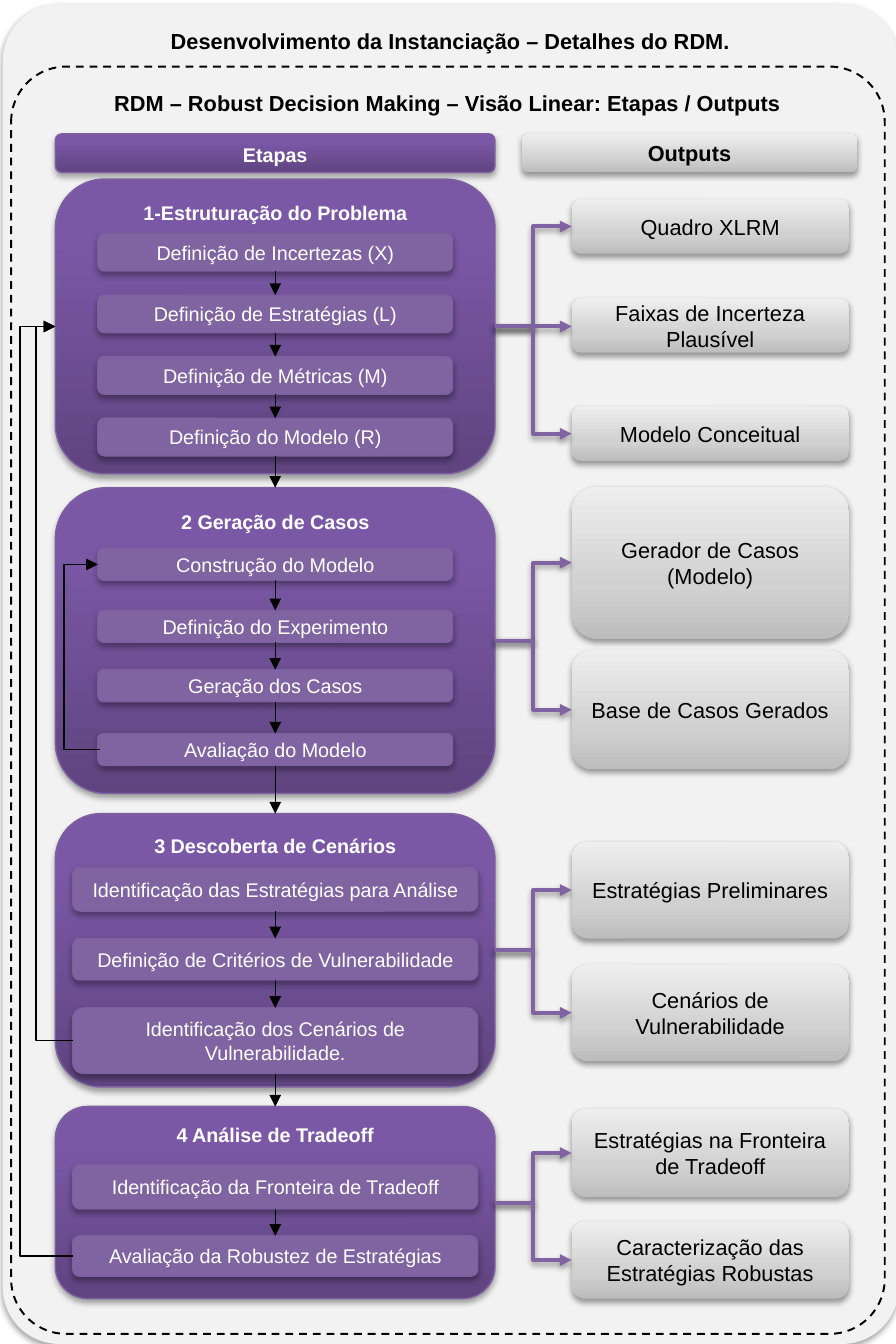
from copy import deepcopy

from lxml.etree import SubElement
from pptx import Presentation
from pptx.dml.color import RGBColor
from pptx.enum.dml import MSO_LINE
from pptx.enum.shapes import MSO_CONNECTOR as CONN, MSO_SHAPE as SHAPE
from pptx.enum.text import MSO_ANCHOR as ANCHOR, PP_ALIGN as ALIGN
from pptx.oxml.ns import qn
from pptx.util import Cm, Pt

BLACK = RGBColor(0x00, 0x00, 0x00)
WHITE = RGBColor(0xFF, 0xFF, 0xFF)
PANEL = RGBColor(0xF2, 0xF2, 0xF2)
PURPLE = RGBColor(0x80, 0x64, 0xA2)
EDGE = RGBColor(0x7D, 0x60, 0xA0)
STAGE_FILL = [(0, RGBColor(0x5F, 0x44, 0x80)), (0.8, RGBColor(0x7B, 0x58, 0xA6)),
              (1, RGBColor(0x7C, 0x57, 0xA8))]
OUTPUT_FILL = [(0, RGBColor(0xBD, 0xBD, 0xBD)), (0.35, RGBColor(0xD1, 0xD1, 0xD1)),
               (1, RGBColor(0xEE, 0xEE, 0xEE))]

STAGE_X, STAGE_W = 0.99, 7.85
OUTPUT_X, OUTPUT_W = 10.21, 4.95

STAGES = [
    ("1-Estruturação do Problema", 3.2, 5.26, 0.76,
     [("Definição de Incertezas (X)", 0.97, 0.67),
      ("Definição de Estratégias (L)", 2.07, 0.67),
      ("Definição de Métricas (M)", 3.17, 0.67),
      ("Definição do Modelo (R)", 4.27, 0.67)],
     [("Quadro XLRM", 0.36, 0.97),
      ("Faixas de Incerteza Plausível", 2.13, 0.97),
      ("Modelo Conceitual", 4.06, 0.97)]),
    ("2 Geração de Casos", 8.71, 5.46, 0.76,
     [("Construção do Modelo", 1.08, 0.57),
      ("Definição do Experimento", 2.19, 0.57),
      ("Geração dos Casos", 3.25, 0.57),
      ("Avaliação do Modelo", 4.39, 0.57)],
     [("Gerador de Casos (Modelo)", -0.02, 2.72),
      ("Base de Casos Gerados", 2.9, 2.13)]),
    ("3 Descoberta de Cenários", 14.53, 4.88, 0.31,
     [("Identificação das Estratégias para Análise", 0.96, 0.78),
      ("Definição de Critérios de Vulnerabilidade", 2.23, 0.74),
      ("Identificação dos Cenários de Vulnerabilidade.", 3.47, 1.17)],
     [("Estratégias Preliminares", 0.5, 1.73),
      ("Cenários de Vulnerabilidade", 2.69, 1.73)]),
    ("4 Análise de Tradeoff", 19.76, 3.43, 0.31,
     [("Identificação da Fronteira de Tradeoff", 1.04, 0.79),
      ("Avaliação da Robustez de Estratégias", 2.31, 0.72)],
     [("Estratégias na Fronteira de Tradeoff", 0.04, 1.58),
      ("Caracterização das Estratégias Robustas", 2.05, 1.38)]),
]


def add_shadow(effects, alpha):
    """Put a soft downward shadow in an effect list."""
    shadow = SubElement(effects, qn("a:outerShdw"), blurRad="40000", dist="22000",
                        dir="5400000", rotWithShape="0")
    color = SubElement(shadow, qn("a:srgbClr"), val="000000")
    SubElement(color, qn("a:alpha"), val=str(alpha * 1000))


def paint(sp, fill):
    """Fill a shape with nothing, one colour or a list of gradient stops."""
    if fill is None:
        sp.fill.background()
    elif isinstance(fill, RGBColor):
        sp.fill.solid()
        sp.fill.fore_color.rgb = fill
    else:
        sp.fill.gradient()
        sp.fill.gradient_angle = 90
        stops = sp._element.spPr.find(".//" + qn("a:gsLst"))
        stops.append(deepcopy(stops[0]))
        for stop, (position, color) in zip(sp.fill.gradient_stops, fill):
            stop.position = position
            stop.color.rgb = color


def add_box(s, x, y, w, h, text, fill, line=None, size=10, color=WHITE,
            bold=False, anchor=ANCHOR.MIDDLE, radius=None, shadow=35):
    """Add a rounded box with one centred line of text."""
    sp = s.shapes.add_shape(SHAPE.ROUNDED_RECTANGLE, Cm(x), Cm(y), Cm(w), Cm(h))
    if radius:
        sp.adjustments[0] = radius
    paint(sp, fill)
    if line is None:
        sp.line.fill.background()
    else:
        sp.line.color.rgb = line
        sp.line.width = Pt(0.75)
    sp.shadow.inherit = False
    if shadow:
        add_shadow(sp._element.spPr.find(qn("a:effectLst")), shadow)
    tf = sp.text_frame
    tf.word_wrap = True
    tf.vertical_anchor = anchor
    p = tf.paragraphs[0]
    p.alignment = ALIGN.CENTER
    r = p.add_run()
    r.text = text
    r.font.name = "Arial"
    r.font.size = Pt(size)
    r.font.bold = bold
    r.font.color.rgb = color
    return sp


def add_arrow(s, x1, y1, x2, y2, kind=CONN.STRAIGHT, color=BLACK, width=0.75, shadow=0):
    """Add a connector with an arrowhead at its end."""
    c = s.shapes.add_connector(kind, Cm(x1), Cm(y1), Cm(x2), Cm(y2))
    c.line.color.rgb = color
    c.line.width = Pt(width)
    SubElement(c.line._get_or_add_ln(), qn("a:tailEnd"), type="triangle")
    effects = SubElement(c._element.spPr, qn("a:effectLst"))
    if shadow:
        add_shadow(effects, shadow)
    return c


def add_loop(s, x1, y1, x2, y2, lane):
    """Add an arrow that runs left to a lane, up, and back to the right."""
    c = add_arrow(s, x2, y2, x1, y1, CONN.ELBOW)
    c._element.spPr.find(qn("a:xfrm")).set("rot", "10800000")
    geometry = c._element.spPr.find(qn("a:prstGeom"))
    guides = geometry.find(qn("a:avLst"))
    if guides is None:
        guides = SubElement(geometry, qn("a:avLst"))
    bend = round((x1 - lane) / (x1 - x2) * 100000)
    SubElement(guides, qn("a:gd"), name="adj1", fmla=f"val {bend}")


def add_stage(s, title, y, h, inset, steps):
    """Draw a stage with its steps and the arrows between them."""
    add_box(s, STAGE_X, y, STAGE_W, h, title, STAGE_FILL, EDGE, bold=True,
            anchor=ANCHOR.TOP)
    center = STAGE_X + STAGE_W / 2
    previous_end = None
    for text, dy, step_h in steps:
        add_box(s, STAGE_X + inset, y + dy, STAGE_W - 2 * inset, step_h, text, PURPLE, EDGE)
        if previous_end:
            add_arrow(s, center, previous_end, center, y + dy)
        previous_end = y + dy + step_h
    return previous_end


def add_outputs(s, y, h, outputs):
    """Draw the outputs of a stage and link them to its right side."""
    middle = y + h / 2
    for text, dy, box_h in outputs:
        add_box(s, OUTPUT_X, y + dy, OUTPUT_W, box_h, text, OUTPUT_FILL, size=11,
                color=BLACK, shadow=38)
        target = y + dy + box_h / 2
        kind = CONN.ELBOW
        if abs(target - middle) < 0.05:
            kind, target = CONN.STRAIGHT, middle
        add_arrow(s, STAGE_X + STAGE_W, middle, OUTPUT_X, target, kind, PURPLE, 2, 38)


def add_frame(s):
    """Draw the panel, the dashed frame and the column headings."""
    add_box(s, 0.05, 0.08, 16, 23.92, "Desenvolvimento da Instanciação – Detalhes do RDM.",
            PANEL, size=11, color=BLACK, bold=True, anchor=ANCHOR.TOP, radius=0.063)
    dashed = add_box(s, 0.2, 1.19, 15.6, 22.63,
                     "RDM – Robust Decision Making – Visão Linear: Etapas / Outputs",
                     None, BLACK, size=11, color=BLACK, bold=True, anchor=ANCHOR.TOP,
                     radius=0.063, shadow=0)
    dashed.line.width = Pt(1)
    dashed.line.dash_style = MSO_LINE.DASH
    add_box(s, STAGE_X, 2.39, STAGE_W, 0.69, "Etapas", STAGE_FILL, EDGE, bold=True,
            anchor=ANCHOR.TOP)
    add_box(s, 9.32, 2.39, 5.99, 0.69, "Outputs", OUTPUT_FILL, size=11, color=BLACK,
            bold=True, shadow=38)


def main():
    """Build the slide and save it."""
    prs = Presentation()
    prs.slide_width, prs.slide_height = Cm(16), Cm(24)
    s = prs.slides.add_slide(prs.slide_layouts[6])
    add_frame(s)
    center = STAGE_X + STAGE_W / 2
    last_end = None
    for title, y, h, inset, steps, outputs in STAGES:
        step_end = add_stage(s, title, y, h, inset, steps)
        if last_end:
            add_arrow(s, center, last_end, center, y)
        last_end = step_end
        add_outputs(s, y, h, outputs)
    add_loop(s, 1.3, 18.58, STAGE_X, 5.83, 0.64)
    add_loop(s, 1.3, 22.43, STAGE_X, 5.83, 0.36)
    add_loop(s, 1.78, 13.38, 1.75, 10.08, 1.14)
    prs.save("out.pptx")


if __name__ == "__main__":
    main()
